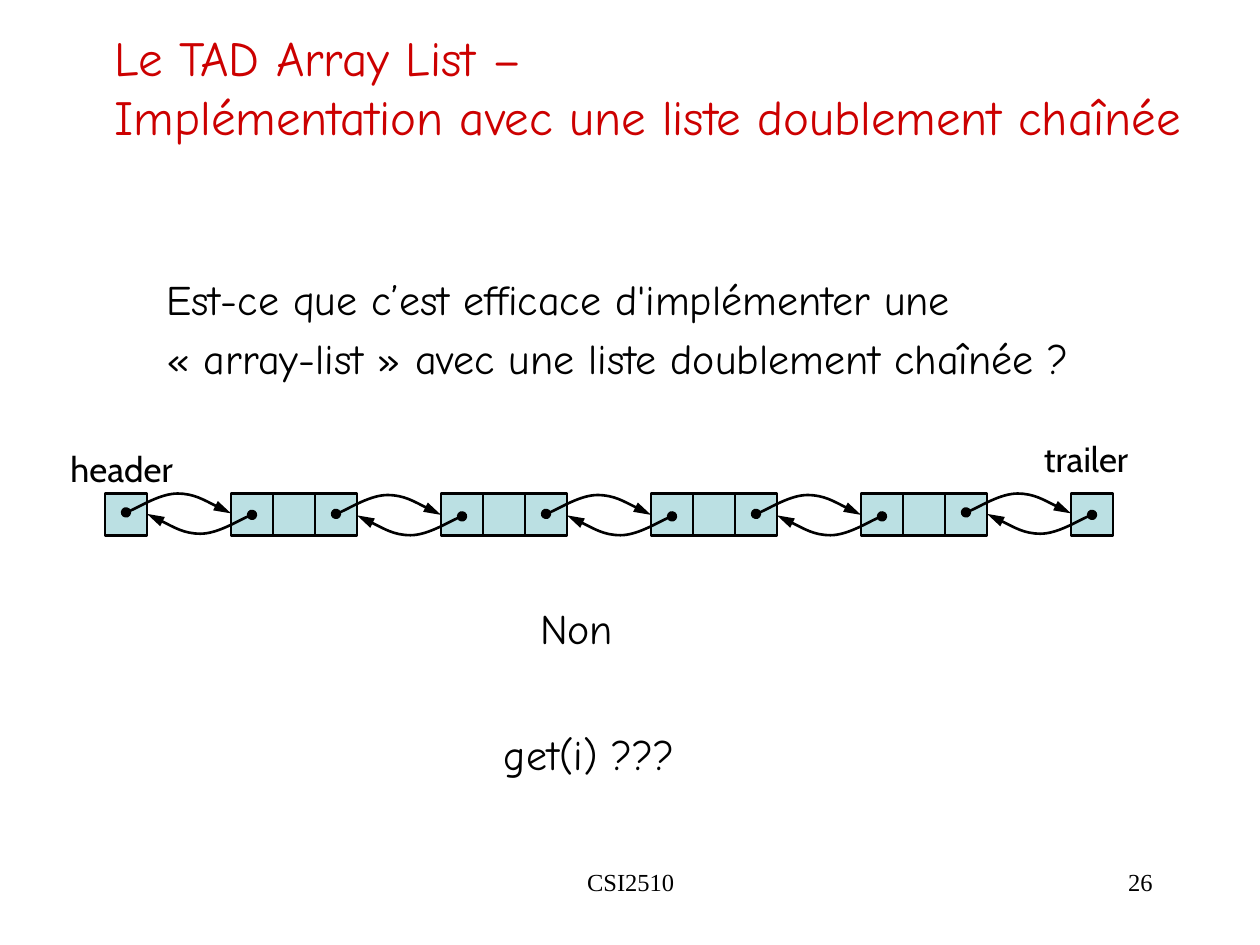
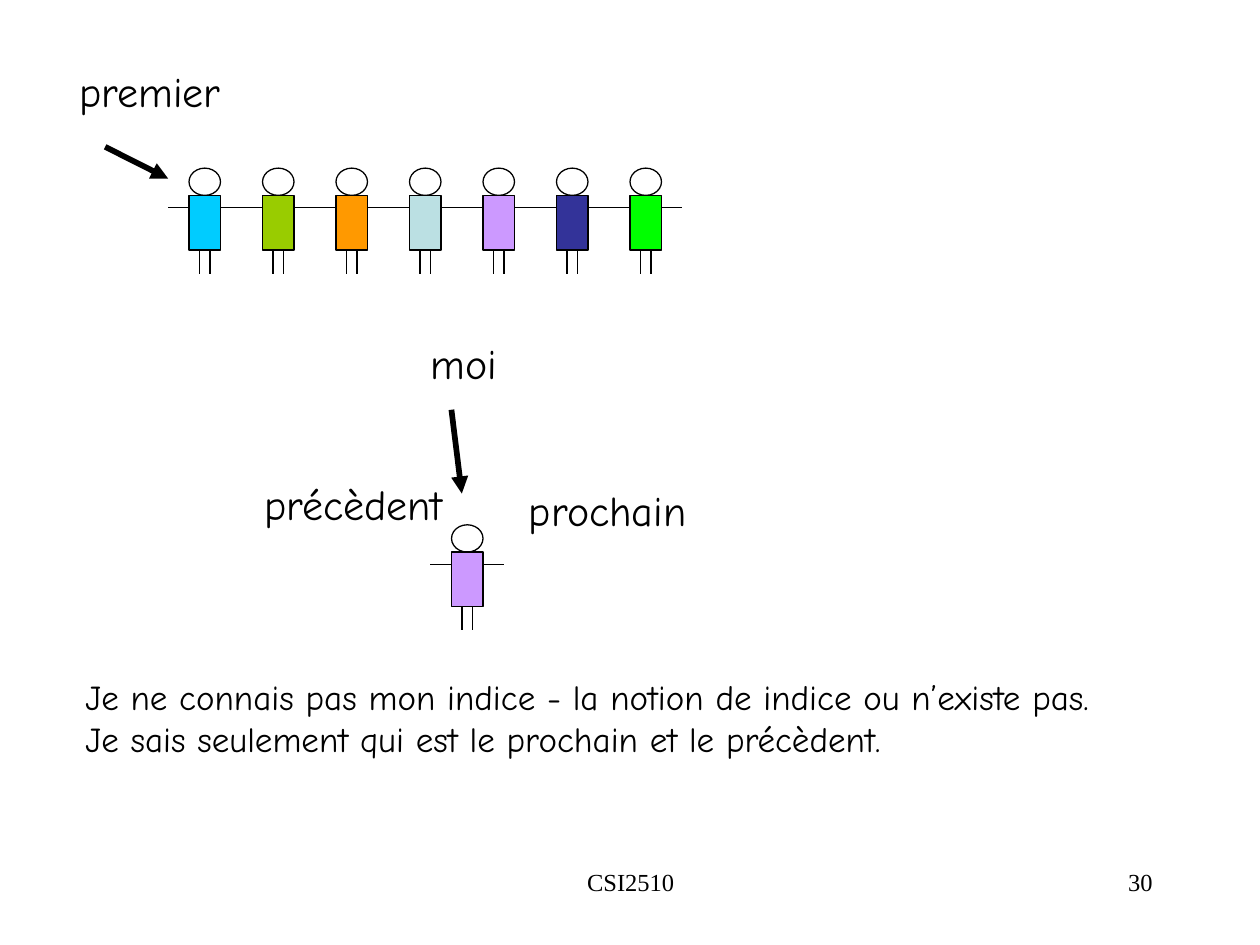
import itertools

import pptx
import pptx.dml.color
import pptx.enum.shapes
import pptx.enum.text
import pptx.oxml.ns
import pptx.util
from lxml import etree

Cm, Pt = pptx.util.Cm, pptx.util.Pt
RGBColor = pptx.dml.color.RGBColor
SHAPES = pptx.enum.shapes.MSO_SHAPE
ALIGN = pptx.enum.text.PP_ALIGN
qn = pptx.oxml.ns.qn

SLIDE_WIDTH, SLIDE_HEIGHT = 25.4, 19.05
UNIT = SLIDE_WIDTH / 30  # grid step of both drawings

BLACK = RGBColor(0x00, 0x00, 0x00)
TITLE_RED = RGBColor(0xCC, 0x00, 0x00)
PALE_BLUE = RGBColor(0xBB, 0xE0, 0xE3)
LILAC = RGBColor(0xCC, 0x99, 0xFF)
QUEUE_COLOURS = [
    RGBColor(0x00, 0xCC, 0xFF), RGBColor(0x99, 0xCC, 0x00),
    RGBColor(0xFF, 0x99, 0x00), PALE_BLUE, LILAC,
    RGBColor(0x33, 0x33, 0x99), RGBColor(0x00, 0xFF, 0x00),
]

HAND_FONT, NODE_FONT, FOOTER_FONT = "Comic Neue", "Cabin", "Times New Roman"

# Link curve: share of the span, and height above the start in cm
LINK_CURVE = [(0, 0), (0.08, 0.05), (0.33, 0.38), (0.49, 0.38),
              (0.65, 0.38), (0.9, 0.08), (1, -0.02)]
LINK_SPAN = 2.5 * UNIT


class Deck:
    def __init__(self):
        self.presentation = pptx.Presentation()
        self.presentation.slide_width = Cm(SLIDE_WIDTH)
        self.presentation.slide_height = Cm(SLIDE_HEIGHT)
        self.slide = None

    def new_slide(self, number, title=None):
        layout = self.presentation.slide_layouts[5 if title else 6]
        self.slide = self.presentation.slides.add_slide(layout)
        if title:
            heading = self.slide.shapes.title
            heading.left, heading.top = Cm(2.06), Cm(0.43)
            heading.width, heading.height = Cm(22.07), Cm(2.64)
            self.fill_frame(heading.text_frame, title, 28, colour=TITLE_RED)
        self.text("CSI2510", 8.69, 17.35, 8.05, 1.27, 14, FOOTER_FONT,
                  ALIGN.CENTER)
        self.text(number, 18.21, 17.35, 5.28, 1.27, 14, FOOTER_FONT,
                  ALIGN.RIGHT)

    def fill_frame(self, frame, text, size, font=HAND_FONT, align=ALIGN.LEFT,
                   spacing=1.0, wrap=False, colour=BLACK):
        frame.text = text
        frame.word_wrap = wrap
        frame.auto_size = pptx.enum.text.MSO_AUTO_SIZE.NONE
        frame.vertical_anchor = pptx.enum.text.MSO_ANCHOR.TOP
        for paragraph in frame.paragraphs:
            paragraph.alignment = align
            paragraph.line_spacing = spacing
            paragraph.font.name = font
            paragraph.font.size = Pt(size)
            paragraph.font.color.rgb = colour

    def text(self, text, left, top, width, height, size=24, font=HAND_FONT,
             align=ALIGN.LEFT, spacing=1.0, wrap=False):
        box = self.slide.shapes.add_textbox(Cm(left), Cm(top), Cm(width),
                                            Cm(height))
        self.fill_frame(box.text_frame, text, size, font, align, spacing, wrap)

    def outline(self, item, weight):
        item.line.color.rgb = BLACK
        item.line.width = Pt(weight)

    def shape(self, kind, left, top, width, height, fill=None, weight=0.75):
        item = self.slide.shapes.add_shape(kind, Cm(left), Cm(top), Cm(width),
                                           Cm(height))
        item.shadow.inherit = False
        if fill is None:
            item.fill.background()
        else:
            item.fill.solid()
            item.fill.fore_color.rgb = fill
        self.outline(item, weight)

    def line_end(self, item, end, kind, length="med"):
        """Put a marker at the head (start) or tail (finish) of a line."""
        line = item._element.spPr.find(qn("a:ln"))
        etree.SubElement(line, qn(f"a:{end}End"), type=kind, w="med",
                         len=length)

    def line(self, x1, y1, x2, y2, weight=0.75, arrow=False):
        item = self.slide.shapes.add_connector(
            pptx.enum.shapes.MSO_CONNECTOR.STRAIGHT,
            Cm(x1), Cm(y1), Cm(x2), Cm(y2))
        self.outline(item, weight)
        if arrow:
            self.line_end(item, "tail", "triangle")
        etree.SubElement(item._element.spPr, qn("a:effectLst"))

    def link(self, x, y, direction):
        """Curved pointer: direction 1 arches up rightwards, -1 down leftwards."""
        points = [(Cm(x + direction * share * LINK_SPAN),
                   Cm(y - direction * rise)) for share, rise in LINK_CURVE]
        builder = self.slide.shapes.build_freeform(*points[0])
        builder.add_line_segments(points[1:], close=False)
        item = builder.convert_to_shape()
        # Every three straight segments become one Bézier segment
        segments = list(item._element.iter(qn("a:lnTo")))
        contour = segments[0].getparent()
        for first in range(0, len(segments), 3):
            curve = etree.SubElement(contour, qn("a:cubicBezTo"))
            for segment in segments[first:first + 3]:
                curve.append(segment[0])
                contour.remove(segment)
        item.shadow.inherit = False
        item.fill.background()
        self.outline(item, 1.5)
        self.line_end(item, "head", "oval")
        self.line_end(item, "tail", "triangle", "lg")

    def person(self, left, top, colour):
        width = 0.75 * UNIT
        self.shape(SHAPES.OVAL, left, top, width, 0.55)
        self.shape(SHAPES.RECTANGLE, left, top + 0.55, width, 1.1, colour)
        for leg in (left + width / 3, left + width * 2 / 3):
            self.line(leg, top + 1.65, leg, top + 2.13)
        for shoulder, reach in ((left + width, UNIT / 2), (left, -UNIT / 2)):
            self.line(shoulder, top + 0.8, shoulder + reach, top + 0.8)


def linked_list_slide(deck):
    deck.new_slide("26", "Le TAD Array List –\n"
                   "Implémentation avec une liste doublement chaînée")
    deck.text("Est-ce que c’est efficace d'implémenter une\n"
              "« array-list » avec une liste doublement chaînée ?",
              3.1, 5.23, 18.75, 2.62, spacing=1.16)

    node_cells = [5.5 + 5 * node + cell
                  for node, cell in itertools.product(range(4), range(3))]
    for column in [2.5, *node_cells, 25.5]:
        deck.shape(SHAPES.RECTANGLE, column * UNIT, 9.95, UNIT, UNIT,
                   PALE_BLUE, 1.5)
    for gap in range(5):
        lift = 0.03 if gap in (0, 4) else 0
        deck.link((3 + 5 * gap) * UNIT, 10.36 - lift, 1)
        deck.link((6 + 5 * gap) * UNIT, 10.41 - lift, -1)

    deck.text("trailer", 20.65, 8.69, 2.49, 1.12, 20, NODE_FONT, ALIGN.CENTER)
    deck.text("header", 1.02, 8.89, 2.87, 1.12, 20, NODE_FONT, ALIGN.CENTER)
    deck.text("Non", 10.64, 11.86, 1.98, 1.45, spacing=1.16)
    deck.text("get(i) ???", 9.91, 14.4, 3.96, 1.45, spacing=1.16)


def queue_slide(deck):
    deck.new_slide("30")
    for place, colour in enumerate(QUEUE_COLOURS):
        deck.person((4.5 + 1.75 * place) * UNIT, 3.39, colour)
    deck.line(2.12, 2.96, 3.39, 3.6, 3.25, arrow=True)
    deck.text("premier", 1.35, 1.19, 3.35, 1.27)

    deck.person(10.75 * UNIT, 10.58, LILAC)
    deck.line(9.1, 8.26, 9.31, 9.95, 3.25, arrow=True)
    deck.text("prochain", 10.41, 9.65, 3.68, 1.27)
    deck.text("précèdent", 5.08, 9.53, 4.11, 1.27)
    deck.text("moi", 8.43, 6.68, 1.85, 1.27)
    deck.text("Je ne connais pas mon indice - la notion de indice ou "
              "n’existe pas.\n"
              "Je sais seulement qui est le prochain et le précèdent.",
              1.47, 13.49, 23.93, 1.96, 20, wrap=True)


def main():
    deck = Deck()
    linked_list_slide(deck)
    queue_slide(deck)
    deck.presentation.save("out.pptx")


if __name__ == "__main__":
    main()
